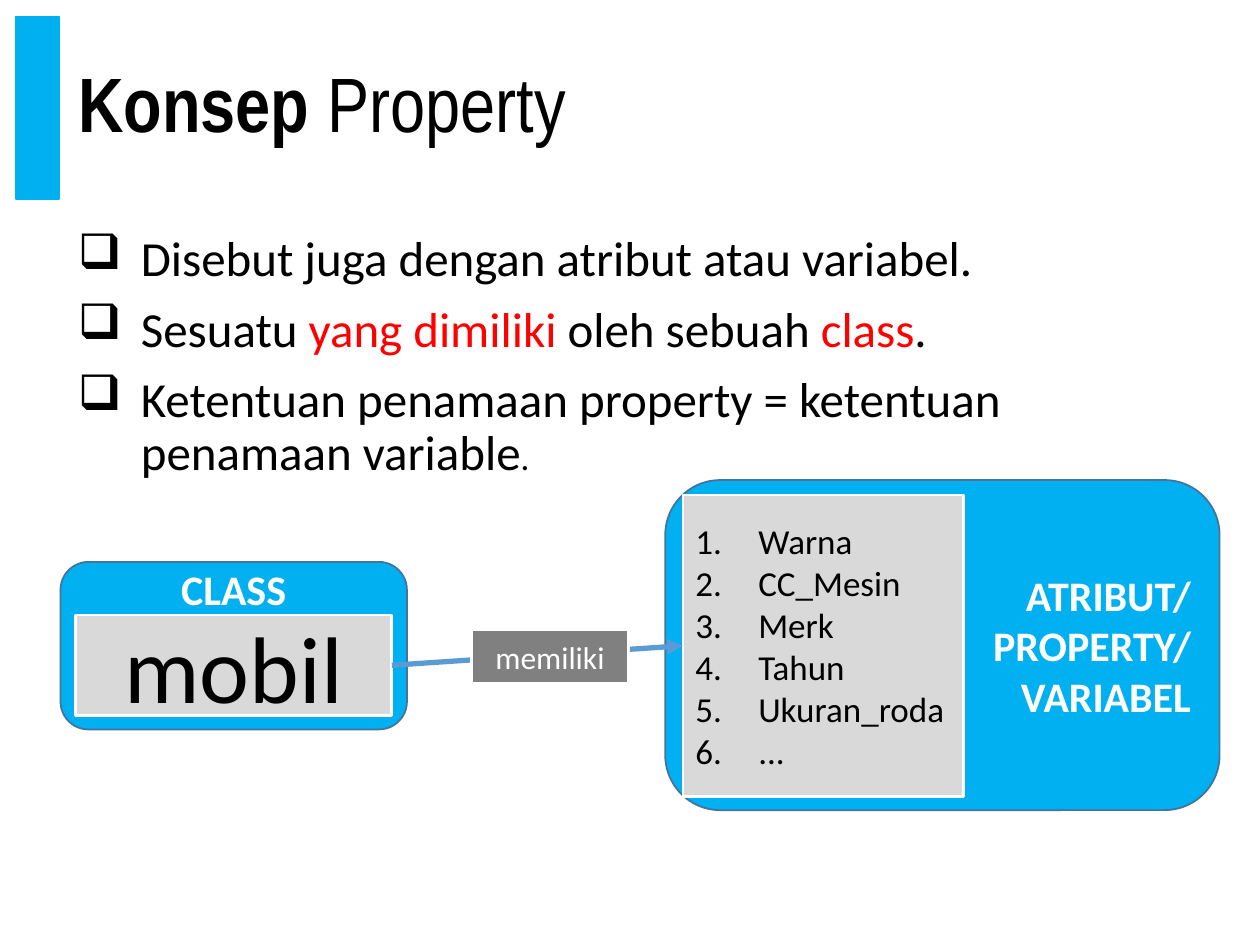
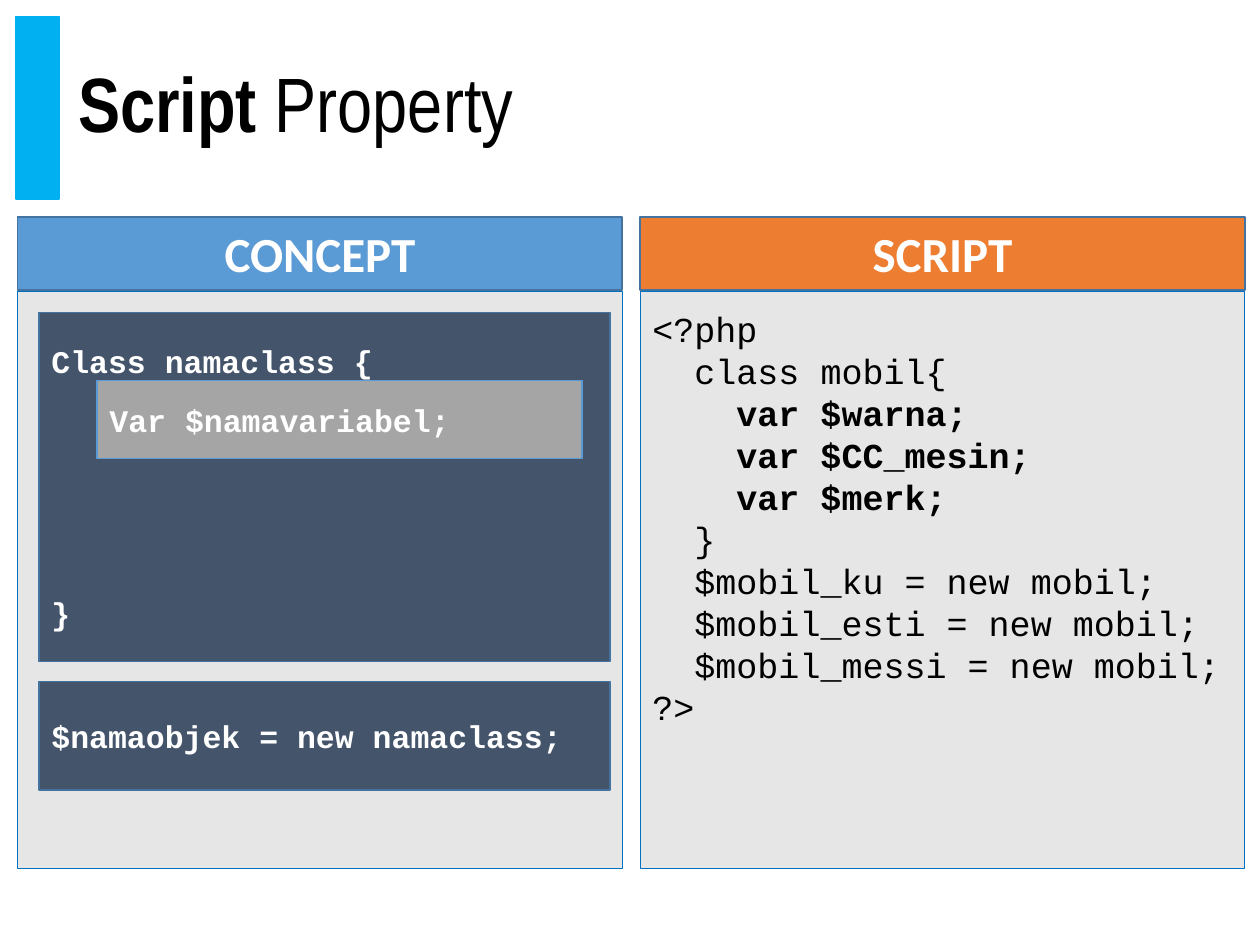
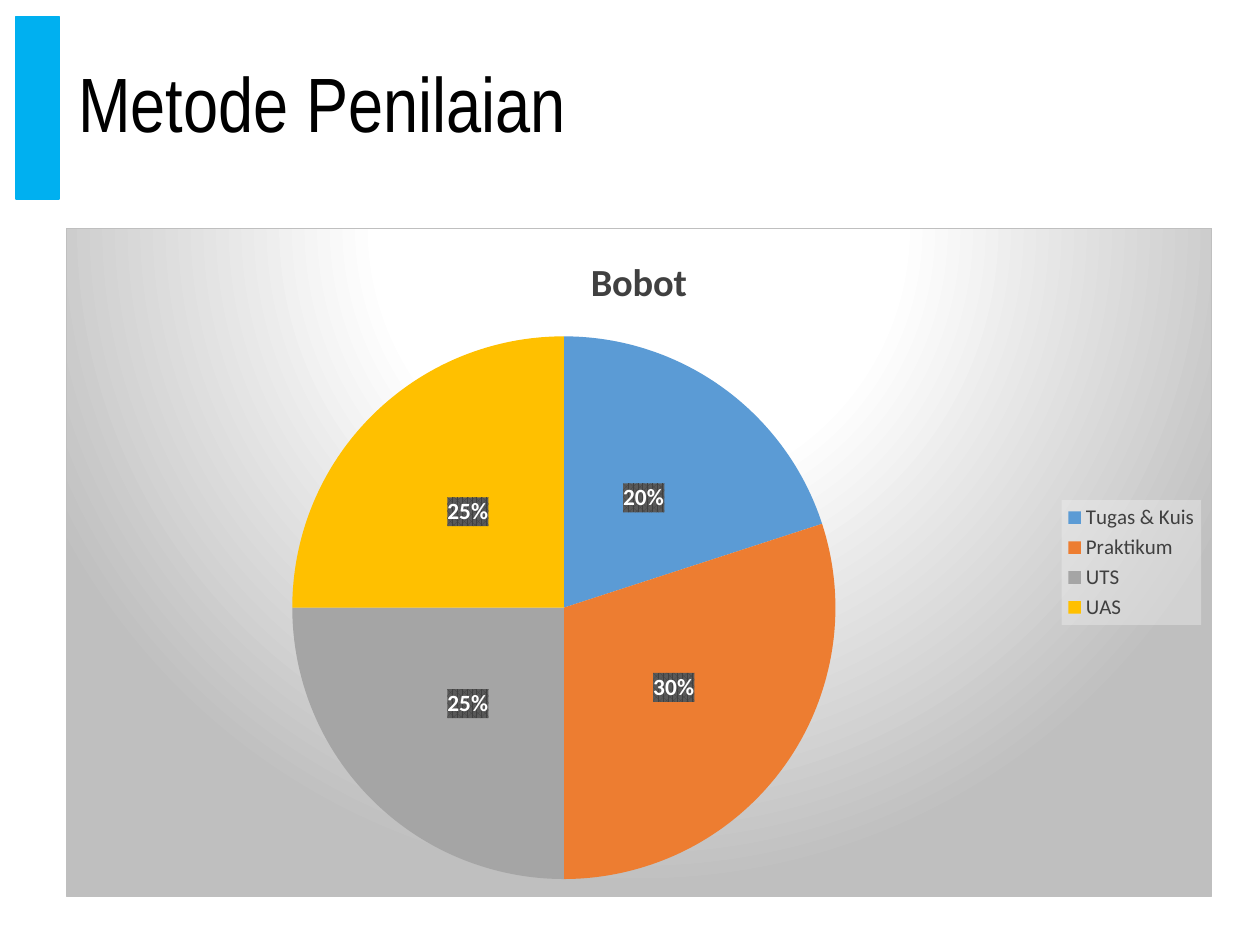
from lxml import etree
from pptx import Presentation
from pptx.chart.data import CategoryChartData
from pptx.dml.color import RGBColor
from pptx.enum.chart import XL_CHART_TYPE, XL_LABEL_POSITION, XL_LEGEND_POSITION
from pptx.enum.shapes import MSO_CONNECTOR, MSO_SHAPE
from pptx.enum.text import MSO_ANCHOR, PP_ALIGN
from pptx.oxml import parse_xml
from pptx.oxml.ns import nsdecls, qn
from pptx.util import Inches, Pt

BLACK = RGBColor(0x00, 0x00, 0x00)
WHITE = RGBColor(0xFF, 0xFF, 0xFF)
RED = RGBColor(0xFF, 0x00, 0x00)
SKY = RGBColor(0x00, 0xB0, 0xF0)
BLUE = RGBColor(0x5B, 0x9B, 0xD5)
DEEP_BLUE = RGBColor(0x00, 0x70, 0xC0)
EDGE = RGBColor(0x43, 0x73, 0x9E)
ORANGE = RGBColor(0xED, 0x7D, 0x31)
GOLD = RGBColor(0xFF, 0xC0, 0x00)
SLATE = RGBColor(0x44, 0x54, 0x6A)
PALE = RGBColor(0xE7, 0xE6, 0xE6)
LIGHT = RGBColor(0xD9, 0xD9, 0xD9)
SILVER = RGBColor(0xA5, 0xA5, 0xA5)
GRAY = RGBColor(0x80, 0x80, 0x80)
CHARCOAL = RGBColor(0x40, 0x40, 0x40)

SANS, NARROW, MONO = "Calibri", "Arial Narrow", "Courier New"
CONTENT = [Inches(v) for v in (0.52, 1.81, 9.1, 5.31)]


def add_run(paragraph, text, size, color=BLACK, bold=False, font=SANS):
    run = paragraph.add_run()
    run.text = text
    run.font.name, run.font.size, run.font.bold = font, Pt(size), bold
    run.font.color.rgb = color


def add_box(slide, place, fill, edge, width=1, lines=(), size=18, color=WHITE, bold=False,
            font=SANS, align=PP_ALIGN.CENTER, preset=MSO_SHAPE.RECTANGLE):
    box = slide.shapes.add_shape(preset, *[Inches(v) for v in place])
    box.shadow.inherit = False
    box.fill.solid()
    box.fill.fore_color.rgb = fill
    box.line.color.rgb = edge
    box.line.width = Pt(width)
    frame = box.text_frame
    frame.vertical_anchor = MSO_ANCHOR.MIDDLE
    for i, line in enumerate(lines):
        paragraph = frame.add_paragraph() if i else frame.paragraphs[0]
        paragraph.alignment = align
        add_run(paragraph, line, size, color, bold, font)
    return box


prs = Presentation()
prs.slide_width, prs.slide_height = Inches(10), Inches(7.5)

# Shared band and titles: (bold part, regular part)
slides = []
for strong, plain in [("Konsep ", "Property"), ("Script ", "Property"), ("", "Metode Penilaian")]:
    slide = prs.slides.add_slide(prs.slide_layouts[5])
    add_box(slide, (0.13, 0.13, 0.34, 1.45), SKY, SKY)
    title = slide.shapes.title
    title.left, title.top, title.width, title.height = [Inches(v) for v in (0.52, 0.13, 9.1, 1.45)]
    title.text_frame.vertical_anchor = MSO_ANCHOR.MIDDLE
    heading = title.text_frame.paragraphs[0]
    heading.alignment = PP_ALIGN.LEFT
    heading.line_spacing = 0.9
    if strong:
        add_run(heading, strong, 44, bold=True, font=NARROW)
    add_run(heading, plain, 44, font=NARROW)
    slides.append(slide)
concept_slide, script_slide, grading_slide = slides

# Slide 1: definition of a property
definition = concept_slide.shapes.add_textbox(*CONTENT).text_frame
definition.word_wrap = True
points = [
    [("Disebut juga dengan atribut atau variabel.", 28, BLACK)],
    [("Sesuatu ", 28, BLACK), ("yang dimiliki ", 28, RED), ("oleh sebuah ", 28, BLACK),
     ("class", 28, RED), (".", 28, BLACK)],
    [("Ketentuan penamaan property = ketentuan penamaan variable", 28, BLACK), (".", 20, BLACK)],
]
for i, runs in enumerate(points):
    point = definition.add_paragraph() if i else definition.paragraphs[0]
    point.line_spacing = 0.9
    point.space_before = Pt(10)
    for text, size, color in runs:
        add_run(point, text, size, color)

# Slide 1: a class and its attributes
add_box(concept_slide, (5.28, 3.81, 4.4, 2.62), SKY, EDGE,
        lines=["ATRIBUT/", "PROPERTY/", "VARIABEL"], size=24, bold=True,
        align=PP_ALIGN.RIGHT, preset=MSO_SHAPE.ROUNDED_RECTANGLE)
class_box = add_box(concept_slide, (0.48, 4.46, 2.75, 1.33), SKY, EDGE, lines=["CLASS"],
                    size=24, bold=True, preset=MSO_SHAPE.ROUNDED_RECTANGLE)
class_box.text_frame.margin_top = 0
class_box.text_frame.margin_bottom = Inches(0.9)
attributes = add_box(concept_slide, (5.42, 3.93, 2.23, 2.39), LIGHT, WHITE, 1.5,
                     ["Warna", "CC_Mesin", "Merk", "Tahun", "Ukuran_roda", "..."],
                     20, BLACK, align=PP_ALIGN.LEFT)
car = add_box(concept_slide, (0.6, 4.88, 2.51, 0.8), LIGHT, WHITE, 1.5, ["mobil"], 54, BLACK)

owns = concept_slide.shapes.add_connector(MSO_CONNECTOR.STRAIGHT, 0, 0, 0, 0)
owns.begin_connect(car, 3)
owns.end_connect(attributes, 1)
owns.line.color.rgb = BLUE
owns.line.width = Pt(3)
etree.SubElement(owns.line._get_or_add_ln(), qn("a:tailEnd"), type="triangle")
etree.SubElement(owns._element.spPr, qn("a:effectLst"))
add_box(concept_slide, (3.74, 5, 1.25, 0.42), GRAY, WHITE, 1.5, ["memiliki"])

# Bullets and numbers with a hanging indent
for frame, tag, mark in [(definition, "a:buChar", {"char": "❑"}),
                         (attributes.text_frame, "a:buAutoNum", {"type": "arabicPeriod"})]:
    for paragraph in frame.paragraphs:
        properties = paragraph._p.get_or_add_pPr()
        properties.set("marL", str(Inches(0.5)))
        properties.set("indent", str(-Inches(0.5)))
        etree.SubElement(properties, qn(tag), mark)

# Slide 2: two headed panels
panels = []
for left, label, color in [(0.14, "CONCEPT", BLUE), (5.08, "SCRIPT", ORANGE)]:
    panels.append(add_box(script_slide, (left, 2.31, 4.8, 4.58), PALE, DEEP_BLUE, 0.5))
    add_box(script_slide, (left, 1.72, 4.8, 0.58), color, EDGE, lines=[label], size=28, bold=True)

# Slide 2: code with (indent level, text, bold)
code = [
    (0, "<?php", False),
    (1, "class mobil{", False),
    (2, "var $warna;", True),
    (2, "var $CC_mesin;", True),
    (2, "var $merk;", True),
    (1, "}", False),
    (1, "$mobil_ku = new mobil;", False),
    (1, "$mobil_esti = new mobil;", False),
    (1, "$mobil_messi = new mobil;", False),
    (0, "?>", False),
]
listing = panels[1].text_frame
listing.vertical_anchor = MSO_ANCHOR.TOP
listing.margin_top = Inches(0.13)
for i, (level, text, bold) in enumerate(code):
    line = listing.add_paragraph() if i else listing.paragraphs[0]
    line.alignment = PP_ALIGN.LEFT
    line._p.get_or_add_pPr().set("marL", str(Pt(24 * level)))
    add_run(line, text, 20, bold=bold, font=MONO)

# Slide 2: general form of a class
for place, fill, edge, lines in [
    ((0.31, 2.48, 4.53, 2.77), SLATE, EDGE, ["Class namaclass {", "}"]),
    ((0.77, 3.02, 3.85, 0.62), SILVER, BLUE, ["Var $namavariabel;"]),
    ((0.31, 5.41, 4.53, 0.86), SLATE, EDGE, ["$namaobjek = new namaclass;"]),
]:
    snippet = add_box(script_slide, place, fill, edge, lines=lines, bold=True, font=MONO,
                      align=PP_ALIGN.LEFT)
    for closing in snippet.text_frame.paragraphs[1:]:
        closing.space_before = Pt(122)

# Slide 3: grading weights
weights = CategoryChartData()
weights.categories = ["Tugas & Kuis", "Praktikum", "UTS", "UAS"]
weights.add_series("Bobot", (20, 30, 25, 25))
chart = grading_slide.shapes.add_chart(XL_CHART_TYPE.PIE, *CONTENT, weights).chart
chart.font.name, chart.font.size = SANS, Pt(10)
chart.has_title = True
add_run(chart.chart_title.text_frame.paragraphs[0], "Bobot", 22, CHARCOAL, True)

chart.has_legend = True
legend = chart.legend
legend.position = XL_LEGEND_POSITION.RIGHT
legend.include_in_layout = False
legend.font.name, legend.font.size = SANS, Pt(12)
legend.font.color.rgb = CHARCOAL

pie = chart.plots[0]
pie.vary_by_categories = True
for i, color in enumerate([BLUE, ORANGE, SILVER, GOLD]):
    wedge = pie.series[0].points[i].format
    wedge.fill.solid()
    wedge.fill.fore_color.rgb = color
    wedge.line.fill.background()

labels = pie.series[0].data_labels
labels.show_percentage = True
labels.show_value = False
labels.number_format, labels.number_format_is_linked = "0%", False
labels.position = XL_LABEL_POSITION.CENTER
labels.font.name, labels.font.size, labels.font.bold = SANS, Pt(13.3), True
labels.font.color.rgb = WHITE

# Chart backgrounds: radial gradient, translucent legend, patterned labels
backdrop = """<a:gradFill><a:gsLst>
  <a:gs pos="0"><a:srgbClr val="FFFFFF"/></a:gs>
  <a:gs pos="39000"><a:srgbClr val="FFFFFF"/></a:gs>
  <a:gs pos="100000"><a:srgbClr val="BFBFBF"/></a:gs></a:gsLst>
  <a:path path="circle"><a:fillToRect l="50000" t="-80000" r="50000" b="180000"/></a:path>
  </a:gradFill>
  <a:ln w="9525"><a:solidFill><a:srgbClr val="BFBFBF"/></a:solidFill></a:ln>"""
legend_fill = """<a:solidFill><a:srgbClr val="F2F2F2"><a:alpha val="39000"/></a:srgbClr>
  </a:solidFill>"""
label_fill = """<a:pattFill prst="pct75"><a:fgClr><a:srgbClr val="404040"/></a:fgClr>
  <a:bgClr><a:srgbClr val="595959"/></a:bgClr></a:pattFill>"""
for part, fill in [(chart._chartSpace, backdrop), (legend._element, legend_fill),
                   (labels._element, label_fill)]:
    part.find(qn("c:txPr")).addprevious(
        parse_xml(f"<c:spPr {nsdecls('c', 'a')}>{fill}</c:spPr>"))

prs.save("out.pptx")
